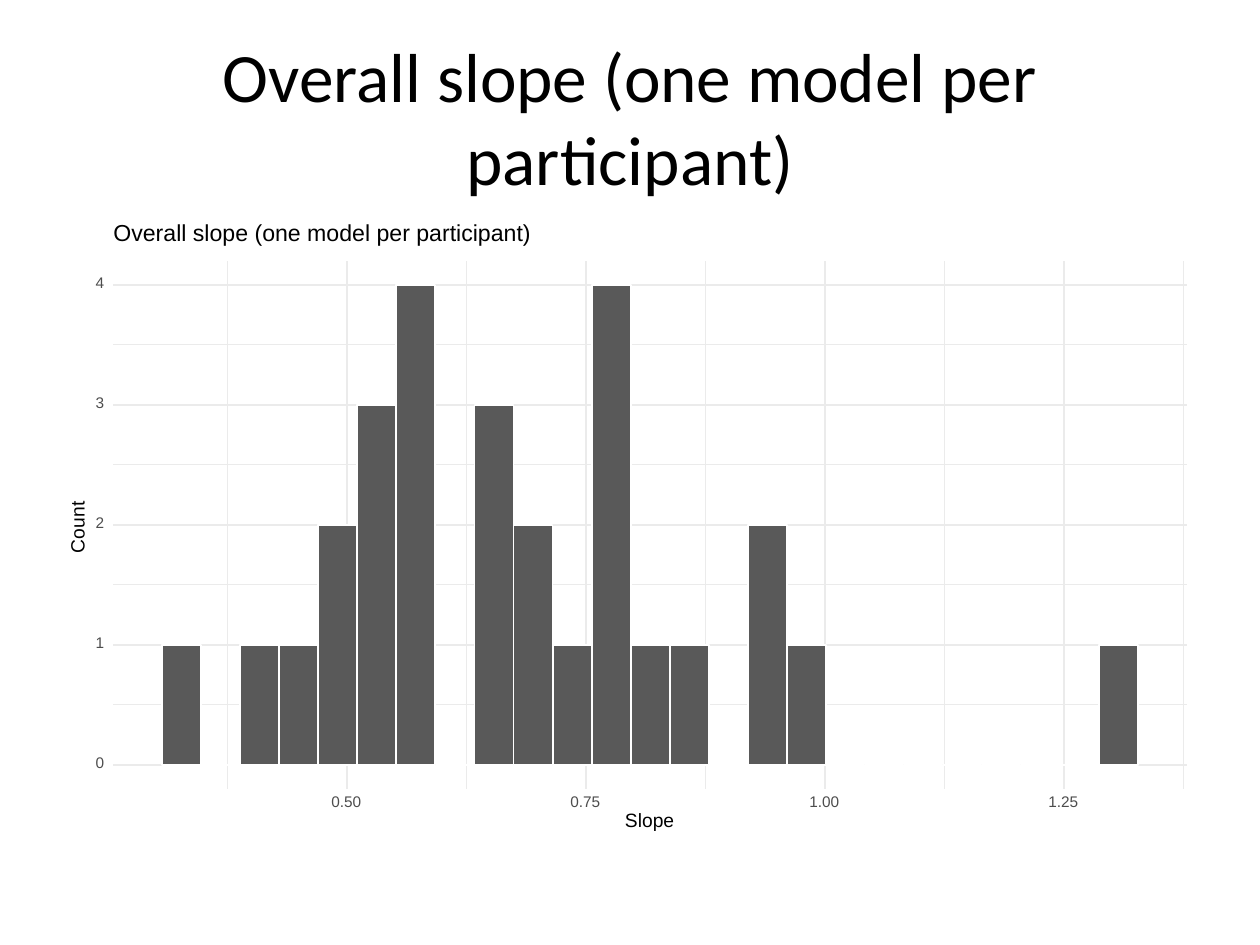
from collections import namedtuple

from lxml.etree import SubElement
from pptx import Presentation
from pptx.dml.color import RGBColor
from pptx.enum.shapes import MSO_CONNECTOR, MSO_SHAPE
from pptx.enum.text import MSO_ANCHOR, PP_ALIGN
from pptx.oxml.ns import qn
from pptx.util import Inches, Pt

Box = namedtuple("Box", "left top width height")

TITLE = "Overall slope (one model per participant)"
COUNTS = [1, 0, 1, 1, 2, 3, 4, 0, 3, 2, 1, 4, 1, 1, 0, 2, 1, 0, 0, 0, 0, 0, 0, 0, 1]
SLOPE_RANGE = (0.256, 1.379)
COUNT_RANGE = (-0.2, 4.2)
SLOPE_TICKS = [0.5, 0.75, 1, 1.25]
SLOPE_MINOR_TICKS = [0.375, 0.625, 0.875, 1.125, 1.375]
COUNT_TICKS = [0, 1, 2, 3, 4]
COUNT_MINOR_TICKS = [0.5, 1.5, 2.5, 3.5]
BIN_SHARE = 1 / 27.5
EDGE_SHARE = 1.25 / 27.5


def color(hex_string):
    return RGBColor.from_string(hex_string)


def x_at(panel, slope):
    low, high = SLOPE_RANGE
    return panel.left + panel.width * (slope - low) / (high - low)


def y_at(panel, count):
    low, high = COUNT_RANGE
    return panel.top + panel.height * (high - count) / (high - low)


def add_rectangle(shapes, box, fill, line_width):
    rectangle = shapes.add_shape(MSO_SHAPE.RECTANGLE, *map(Inches, box))
    rectangle.shadow.inherit = False
    rectangle.fill.solid()
    rectangle.fill.fore_color.rgb = color(fill)
    rectangle.line.color.rgb = color("FFFFFF")
    rectangle.line.width = Pt(line_width)


def add_grid_line(shapes, start, end, width):
    line = shapes.add_connector(MSO_CONNECTOR.STRAIGHT, *map(Inches, start + end))
    line.line.color.rgb = color("EBEBEB")
    line.line.width = Pt(width)
    SubElement(line._element.spPr, qn("a:effectLst"))


def format_runs(paragraph, font, size, hex_string):
    for run in paragraph.runs:
        run.font.name = font
        run.font.size = Pt(size)
        run.font.color.rgb = color(hex_string)


def add_label(shapes, text, box, size, hex_string="000000", rotation=0):
    label = shapes.add_textbox(*map(Inches, box))
    label.rotation = rotation
    frame = label.text_frame
    frame.word_wrap = False
    frame.vertical_anchor = MSO_ANCHOR.MIDDLE
    frame.margin_left = frame.margin_top = frame.margin_right = frame.margin_bottom = 0
    frame.text = text
    paragraph = frame.paragraphs[0]
    paragraph.line_spacing = Pt(size)
    format_runs(paragraph, "Arial", size, hex_string)


def add_grid(shapes, panel, slopes, counts, width):
    for count in counts:
        y = y_at(panel, count)
        add_grid_line(shapes, (panel.left, y), (panel.left + panel.width, y), width)
    for slope in slopes:
        x = x_at(panel, slope)
        add_grid_line(shapes, (x, panel.top + panel.height), (x, panel.top), width)


def add_bars(shapes, panel):
    bin_width = panel.width * BIN_SHARE
    first_left = panel.left + panel.width * EDGE_SHARE
    baseline = y_at(panel, 0)
    for index, count in enumerate(COUNTS):
        top = y_at(panel, count)
        bar = Box(first_left + index * bin_width, top, bin_width, baseline - top)
        add_rectangle(shapes, bar, "595959", 1.07)


def add_axis_labels(shapes, panel):
    bottom = panel.top + panel.height
    for count in COUNT_TICKS:
        box = Box(panel.left - 0.14, y_at(panel, count) - 0.05, 0.08, 0.09)
        add_label(shapes, str(count), box, 8.8, "4D4D4D")
    for slope in SLOPE_TICKS:
        box = Box(x_at(panel, slope) - 0.12, bottom + 0.07, 0.26, 0.09)
        add_label(shapes, f"{slope:.2f}", box, 8.8, "4D4D4D")
    center = panel.left + panel.width / 2
    middle = panel.top + panel.height / 2
    add_label(shapes, "Slope", Box(center - 0.2, bottom + 0.19, 0.45, 0.14), 11)
    add_label(shapes, "Count", Box(panel.left - 0.5, middle - 0.06, 0.45, 0.12), 11, rotation=270)


def add_histogram(slide, box):
    shapes = slide.shapes.add_group_shape().shapes
    panel = Box(box.left + 0.4, box.top + 0.32, box.width - 0.48, box.height - 0.76)
    add_rectangle(shapes, box, "FFFFFF", 0.75)
    add_grid(shapes, panel, SLOPE_MINOR_TICKS, COUNT_MINOR_TICKS, 0.53)
    add_grid(shapes, panel, SLOPE_TICKS, COUNT_TICKS, 1.07)
    add_bars(shapes, panel)
    add_axis_labels(shapes, panel)
    add_label(shapes, TITLE, Box(panel.left, box.top + 0.03, 3.5, 0.17), 13.2)


def place_title(slide, box):
    title = slide.shapes.title
    title.left, title.top, title.width, title.height = map(Inches, box)
    frame = title.text_frame
    frame.text = TITLE
    frame.word_wrap = True
    frame.vertical_anchor = MSO_ANCHOR.MIDDLE
    paragraph = frame.paragraphs[0]
    paragraph.alignment = PP_ALIGN.CENTER
    format_runs(paragraph, "Calibri", 39.6, "000000")


def main():
    presentation = Presentation()
    width, height = 10, 7.5
    presentation.slide_width = Inches(width)
    presentation.slide_height = Inches(height)
    slide = presentation.slides.add_slide(presentation.slide_layouts[5])
    margin, content_width = width * 0.05, width * 0.9
    place_title(slide, Box(margin, height * 0.04, content_width, height / 6))
    add_histogram(slide, Box(margin, 1.75, content_width, height * 0.66))
    presentation.save("out.pptx")


if __name__ == "__main__":
    main()
